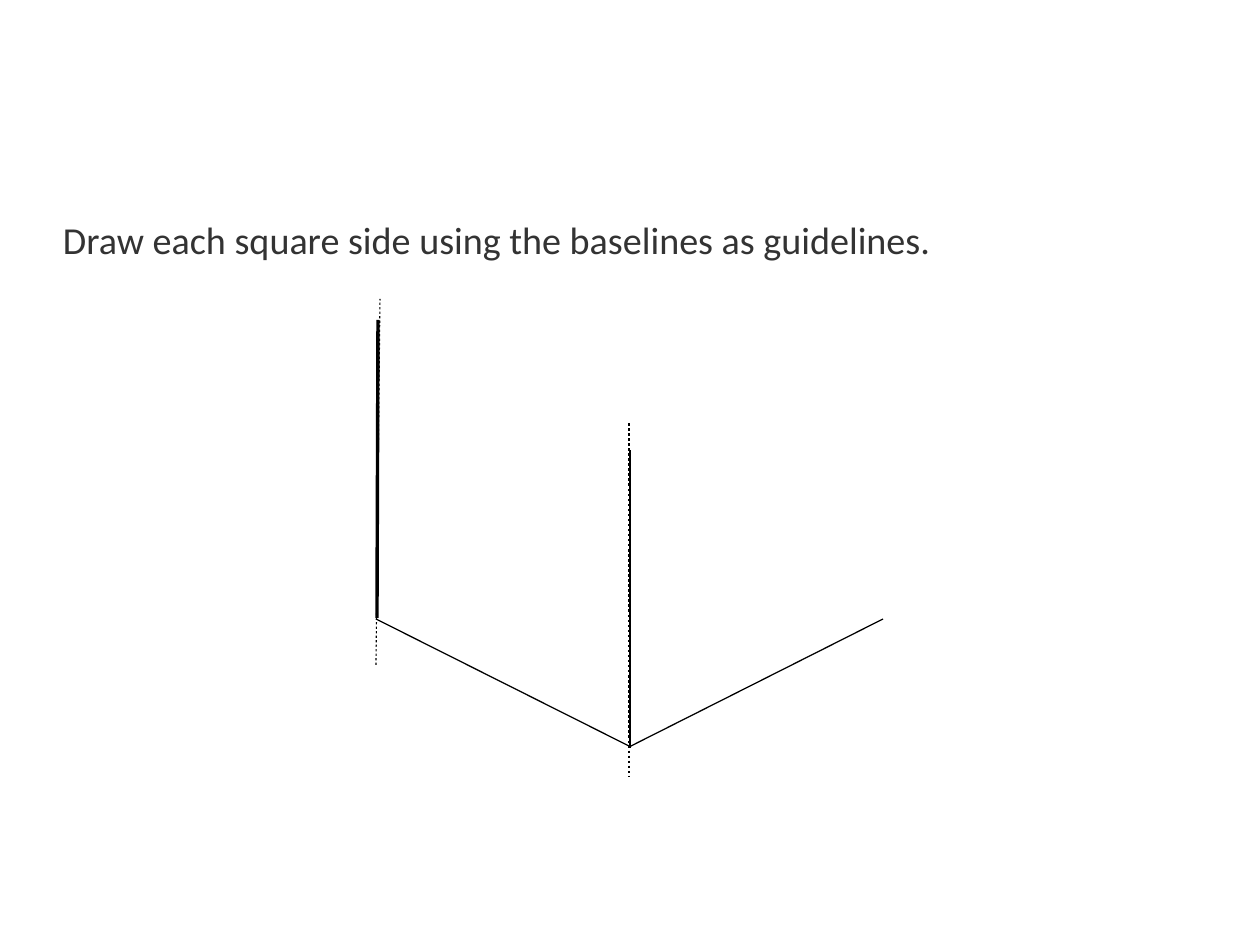
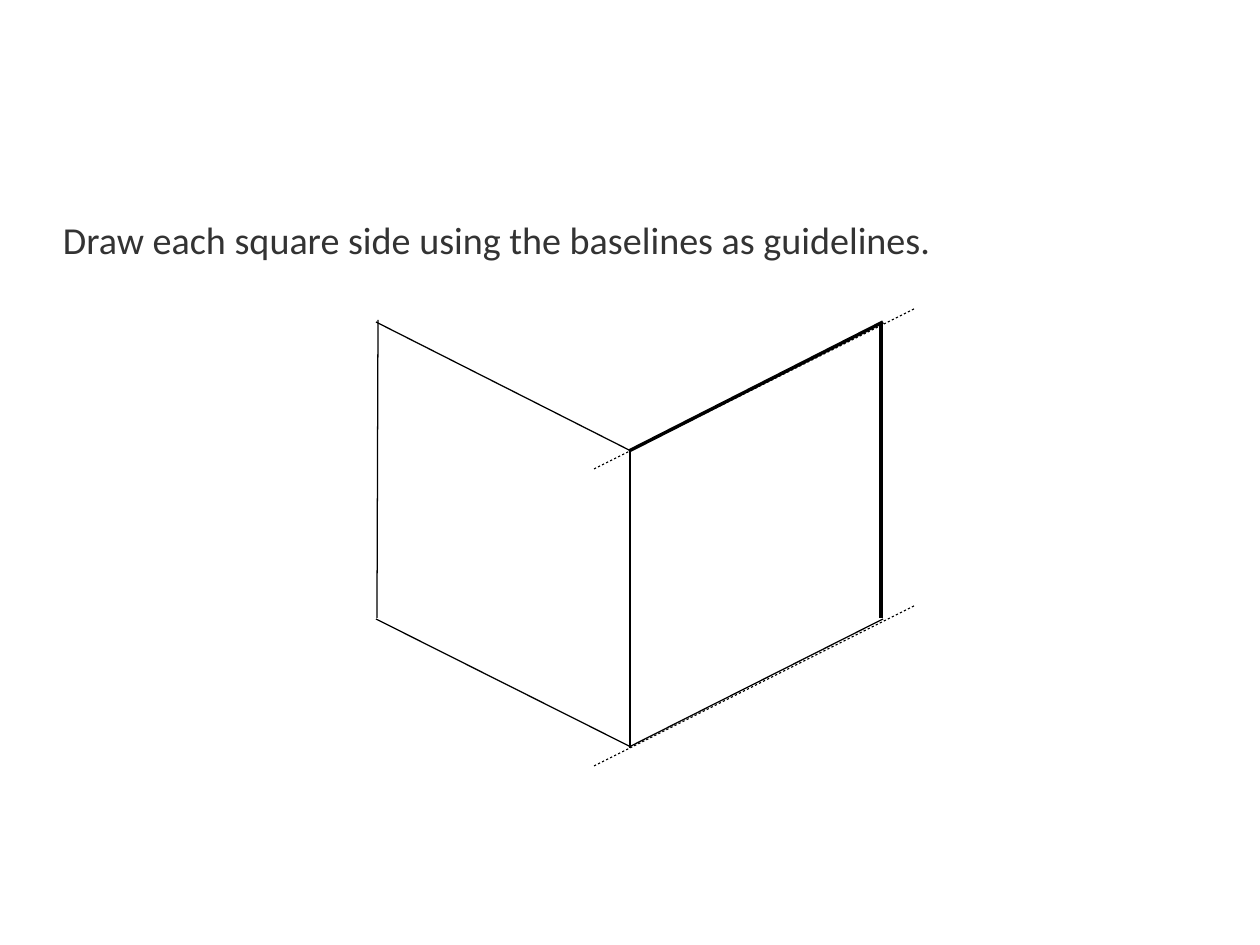
"""Build two steps of drawing an isometric cube from its baselines."""
from pptx import Presentation
from pptx import util as u
from pptx.dml.color import RGBColor
from pptx.enum import shapes, text
from pptx.oxml.ns import qn
from lxml import etree

PX = 8000
COLORS = {"paper": "FFFFFF", "ink": "000000", "body": "333333"}
PENS = {"thin": 0.79, "bold": 2.15, "guide": 0.71, "axis": 0.79}
DOTTED = {"guide", "axis"}
INSTRUCTION = "Draw each square side using the baselines as guidelines."

LEFT_BASE = (376, 619, 631, 747)
RIGHT_BASE = (629, 747, 883, 619)
LEFT_TOP = (376, 322, 631, 451)
RIGHT_TOP = (629, 451, 883, 322)
LEFT_EDGE = (378, 320, 377, 618)
MIDDLE_EDGE = (630, 450, 630, 748)
RIGHT_EDGE = (881, 324, 881, 618)

STEPS = [
    [
        ("thin", LEFT_BASE), ("thin", RIGHT_BASE), ("thin", MIDDLE_EDGE),
        ("bold", LEFT_EDGE),
        ("guide", (376, 665, 380, 299)), ("axis", (629, 423, 629, 777)),
    ],
    [
        ("thin", LEFT_BASE), ("thin", RIGHT_BASE), ("thin", LEFT_TOP),
        ("thin", LEFT_EDGE), ("thin", MIDDLE_EDGE), ("bold", RIGHT_TOP),
        ("guide", (914, 309, 594, 469)), ("guide", (914, 606, 594, 766)),
        ("bold", RIGHT_EDGE),
    ],
]


def apply(target, values):
    """Set each named attribute on the target."""
    for name, value in values.items():
        setattr(target, name, value)


class Deck:
    """Hold the presentation style and the current slide."""

    def __init__(self, width, height):
        """Start an empty presentation of the given size."""
        self.presentation = Presentation()
        apply(self.presentation, {"slide_width": width * PX, "slide_height": height * PX})
        self.slide = None

    def color(self, name):
        """Return a named colour."""
        return RGBColor.from_string(COLORS[name])

    def add_slide(self):
        """Open a slide without a title."""
        layout = self.presentation.slide_layouts[1]
        self.slide = self.presentation.slides.add_slide(layout)
        fill = self.slide.background.fill
        fill.solid()
        fill.fore_color.rgb = self.color("paper")
        title = self.slide.shapes.title.element
        title.getparent().remove(title)

    def body(self, words):
        """Write one unbulleted paragraph in the body placeholder."""
        shape = self.slide.placeholders[1]
        apply(shape, {"left": 63 * PX, "top": 222 * PX,
                      "width": 1134 * PX, "height": 624 * PX})
        frame = shape.text_frame
        apply(frame, {"margin_left": 0, "margin_top": 0, "margin_right": 0,
                      "margin_bottom": 0, "word_wrap": True,
                      "auto_size": text.MSO_AUTO_SIZE.NONE,
                      "vertical_anchor": text.MSO_ANCHOR.TOP})
        paragraph = frame.paragraphs[0]
        paragraph.text = words
        apply(paragraph, {"line_spacing": 0.9, "space_before": u.Pt(0),
                          "space_after": u.Pt(14.1), "alignment": text.PP_ALIGN.LEFT})
        properties = paragraph._p.get_or_add_pPr()
        apply(properties, {"marL": 0, "indent": 0})
        properties.set("marL", "0")
        properties.set("indent", "0")
        etree.SubElement(properties, qn("a:buNone"))
        font = paragraph.runs[0].font
        apply(font, {"name": "Calibri", "size": u.Pt(24)})
        font.color.rgb = self.color("body")

    def line(self, pen, ends):
        """Draw a straight line with a named pen."""
        connector = self.slide.shapes.add_connector(
            shapes.MSO_CONNECTOR.STRAIGHT, *(end * PX for end in ends))
        connector.line.color.rgb = self.color("ink")
        connector.line.width = u.Pt(PENS[pen])
        properties = connector.element.spPr
        if pen in DOTTED:
            dashes = etree.SubElement(properties.find(qn("a:ln")), qn("a:custDash"))
            etree.SubElement(dashes, qn("a:ds"), d="200000", sp="200000")
        etree.SubElement(properties, qn("a:effectLst"))


def main():
    """Build and save both steps."""
    deck = Deck(1260, 945)
    for lines in STEPS:
        deck.add_slide()
        for pen, ends in lines:
            deck.line(pen, ends)
        deck.body(INSTRUCTION)
    deck.presentation.save("out.pptx")


if __name__ == "__main__":
    main()
